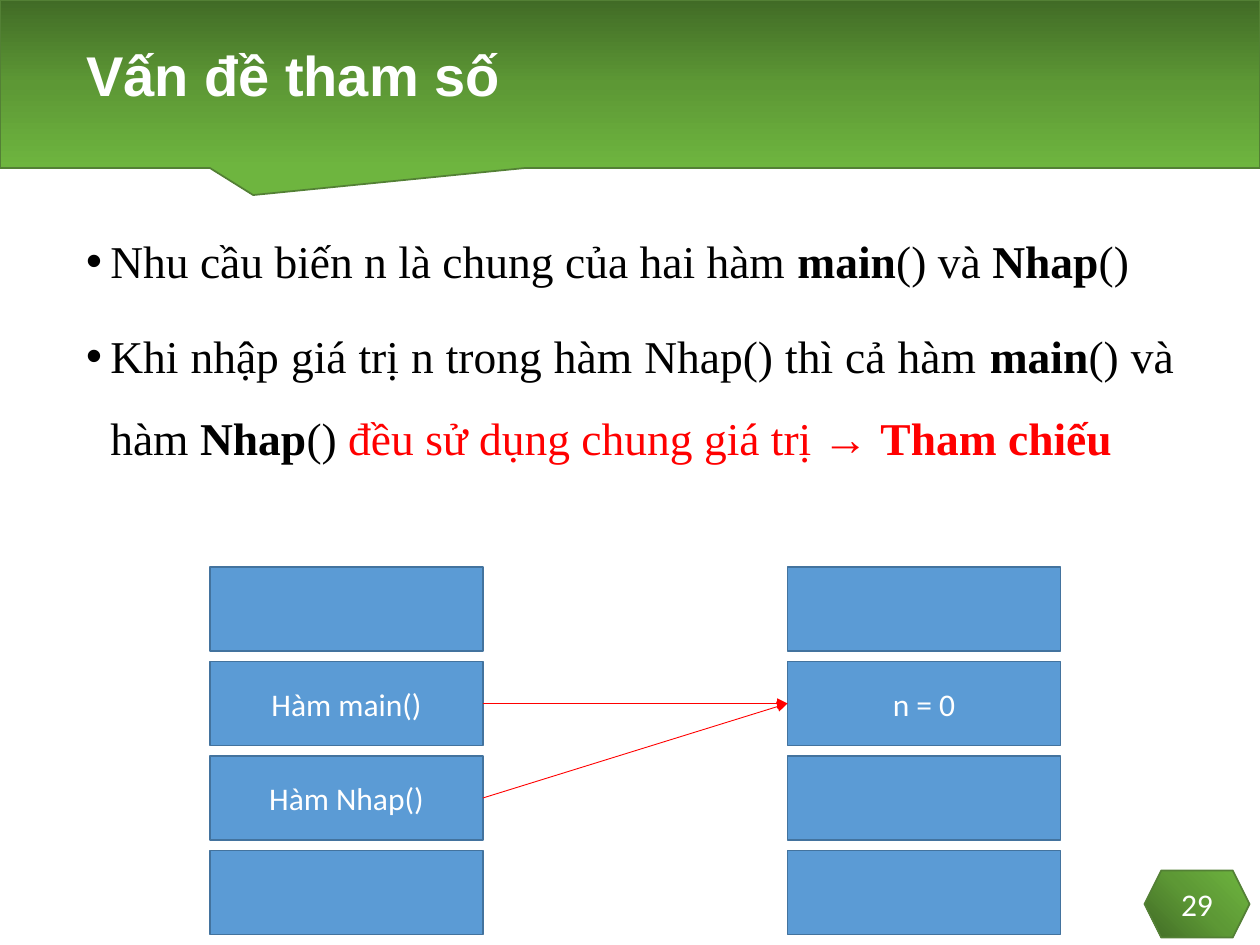
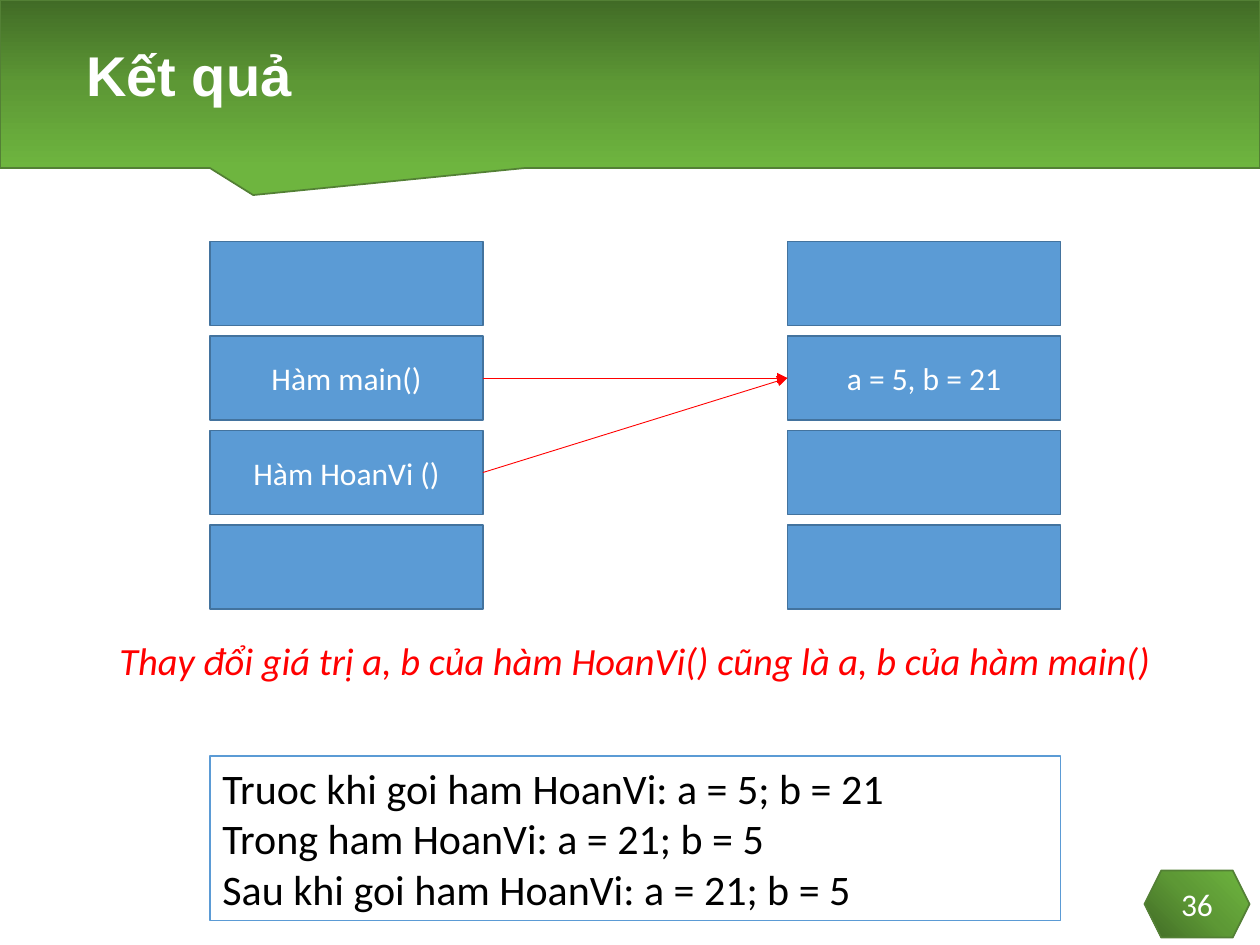
from dataclasses import dataclass

from pptx import Presentation
from pptx.dml.color import RGBColor
from pptx.enum.shapes import MSO_CONNECTOR, MSO_SHAPE
from pptx.enum.text import MSO_ANCHOR, MSO_AUTO_SIZE, PP_ALIGN
from pptx.oxml import parse_xml
from pptx.oxml.ns import nsdecls, qn
from pptx.util import Emu, Pt

RECTANGLE = MSO_SHAPE.RECTANGLE
CALLOUT = MSO_SHAPE.RECTANGULAR_CALLOUT
HEXAGON = MSO_SHAPE.HEXAGON
STRAIGHT = MSO_CONNECTOR.STRAIGHT
LEFT, CENTER, JUSTIFY = PP_ALIGN.LEFT, PP_ALIGN.CENTER, PP_ALIGN.JUSTIFY
TOP, MIDDLE = MSO_ANCHOR.TOP, MSO_ANCHOR.MIDDLE
NO_FIT = MSO_AUTO_SIZE.NONE

# Layout grid: 120 px to the inch
EMU_PER_PX = 7620
SLIDE_WIDTH, SLIDE_HEIGHT = 1200, 900
TITLE_ONLY, TITLE_AND_BODY = 5, 1
BOX_WIDTH, BOX_HEIGHT, BOX_PITCH = 260, 80, 90
FUNCTION_LEFT, MEMORY_LEFT = 200, 750
RIGHT_SITE, LEFT_SITE = 3, 1
LIST_INDENT = 23


@dataclass(frozen=True)
class Theme:
    band_stops: tuple = ("416B26", "5D9835", "6EB53F")
    band_line: str = "538035"
    box_fill: str = "5B9BD5"
    box_line: str = "43739E"
    accent: str = "FF0000"
    light: str = "FFFFFF"
    dark: str = "000000"
    title_font: str = "Arial"
    list_font: str = "Times New Roman"
    text_font: str = "Calibri"
    title_size: int = 32
    list_size: int = 26
    result_size: int = 24
    caption_size: int = 22
    label_size: int = 18


THEME = Theme()
LINEAR_DOWN = '<a:lin ang="5400000" scaled="0"/>'
FROM_BOTTOM_LEFT = '<a:path path="circle"><a:fillToRect t="100000" r="100000"/></a:path>'


# Basic helpers
def px(length):
    return Emu(length * EMU_PER_PX)


def color(value):
    return RGBColor.from_string(value)


def place(shape, left, top, width, height):
    shape.left, shape.top = px(left), px(top)
    shape.width, shape.height = px(width), px(height)


def format_run(run, font, size, text_color, bold=False, italic=False):
    run.font.name = font
    run.font.size = Pt(size)
    run.font.color.rgb = color(text_color)
    run.font.bold = bold
    run.font.italic = italic


def set_text(shape, text, font, size, text_color, align=LEFT, anchor=TOP, **style):
    frame = shape.text_frame
    frame.text = text
    frame.vertical_anchor = anchor
    for paragraph in frame.paragraphs:
        paragraph.alignment = align
        for run in paragraph.runs:
            format_run(run, font, size, text_color, **style)


def add_outlined(slide, kind, bounds, line_color, line_width=1):
    shape = slide.shapes.add_shape(kind, *map(px, bounds))
    shape.shadow.inherit = False
    shape.line.color.rgb = color(line_color)
    shape.line.width = Pt(line_width)
    return shape


def fill_gradient(shape, direction):
    stops = "".join(
        f'<a:gs pos="{index * 50000}"><a:srgbClr val="{value}"/></a:gs>'
        for index, value in enumerate(THEME.band_stops)
    )
    shape.fill.gradient()
    properties = shape.element.spPr
    gradient = parse_xml(
        f'<a:gradFill {nsdecls("a")} rotWithShape="1">'
        f"<a:gsLst>{stops}</a:gsLst>{direction}</a:gradFill>"
    )
    properties.replace(properties.find(qn("a:gradFill")), gradient)


# Shared parts
def add_master_band(presentation, slide):
    """Draw the title band and hand it to the master, behind everything."""
    band = add_outlined(slide, CALLOUT, (0, 0, SLIDE_WIDTH, 160), THEME.band_line)
    band.adjustments[0], band.adjustments[1] = -0.299, 0.661
    fill_gradient(band, LINEAR_DOWN)
    band.element.nvSpPr.cNvPr.set("id", "100")
    presentation.slide_master.shapes.element.insert(2, band.element)


def add_page_number(slide, number):
    badge = add_outlined(slide, HEXAGON, (1090, 829, 100, 64), THEME.band_line)
    fill_gradient(badge, FROM_BOTTOM_LEFT)
    set_text(badge, str(number), THEME.text_font, THEME.label_size, THEME.light,
             CENTER, MIDDLE)


def add_titled_slide(presentation, layout, title_text, number):
    slide = presentation.slides.add_slide(presentation.slide_layouts[layout])
    title = slide.shapes.title
    place(title, 70, 10, 1060, 130)
    set_text(title, title_text, THEME.title_font, THEME.title_size, THEME.light,
             anchor=MIDDLE, bold=True)
    title.text_frame.auto_size = NO_FIT
    title.text_frame.paragraphs[0].line_spacing = 0.9
    add_page_number(slide, number)
    return slide


# Content parts
def set_bullet(paragraph):
    properties = paragraph._p.get_or_add_pPr()
    properties.set("marL", str(px(LIST_INDENT)))
    properties.set("indent", str(-px(LIST_INDENT)))
    properties.append(parse_xml(f'<a:buFont {nsdecls("a")} typeface="Arial"/>'))
    properties.append(parse_xml(f'<a:buChar {nsdecls("a")} char="•"/>'))


def fill_list(body, items):
    """Each item is a list of (text, color, bold) pieces."""
    place(body, 70, 190, 1060, 601)
    frame = body.text_frame
    frame.auto_size = NO_FIT
    for index, pieces in enumerate(items):
        paragraph = frame.add_paragraph() if index else frame.paragraphs[0]
        paragraph.alignment = JUSTIFY
        paragraph.line_spacing = 1.5
        paragraph.space_before = Pt(7.5)
        set_bullet(paragraph)
        for text, text_color, bold in pieces:
            run = paragraph.add_run()
            run.text = text
            format_run(run, THEME.list_font, THEME.list_size, text_color, bold)


def add_box_column(slide, left, top, labels):
    boxes = []
    for row, label in enumerate(labels):
        bounds = (left, top + row * BOX_PITCH, BOX_WIDTH, BOX_HEIGHT)
        box = add_outlined(slide, RECTANGLE, bounds, THEME.box_line)
        box.fill.solid()
        box.fill.fore_color.rgb = color(THEME.box_fill)
        if label:
            set_text(box, label, THEME.text_font, THEME.label_size, THEME.light,
                     CENTER, MIDDLE)
        boxes.append(box)
    return boxes


def add_arrow(slide, source, target):
    arrow = slide.shapes.add_connector(STRAIGHT, 0, 0, 0, 0)
    arrow.begin_connect(source, RIGHT_SITE)
    arrow.end_connect(target, LEFT_SITE)
    arrow.line.color.rgb = color(THEME.accent)
    arrow.line.width = Pt(0.5)
    arrow.line._get_or_add_ln().append(
        parse_xml(f'<a:tailEnd {nsdecls("a")} type="triangle"/>'))
    arrow.element.spPr.append(parse_xml(f'<a:effectLst {nsdecls("a")}/>'))


def add_memory_diagram(slide, top, called_function, value):
    """Two functions that point to one shared memory cell."""
    functions = add_box_column(slide, FUNCTION_LEFT, top,
                               ("", "Hàm main()", called_function, ""))
    memory = add_box_column(slide, MEMORY_LEFT, top, ("", value, "", ""))
    for function in functions[1:3]:
        add_arrow(slide, function, memory[1])


def add_program_output(slide, lines):
    bounds = (FUNCTION_LEFT, 720, MEMORY_LEFT + BOX_WIDTH - FUNCTION_LEFT, 157)
    output = add_outlined(slide, RECTANGLE, bounds, THEME.box_fill, 0.75)
    output.fill.background()
    set_text(output, "\n".join(lines), THEME.text_font, THEME.result_size, THEME.dark)


def add_caption(slide, text):
    caption = slide.shapes.add_textbox(*map(px, (102, 601, 1006, 56)))
    set_text(caption, text, THEME.text_font, THEME.caption_size, THEME.accent,
             italic=True)
    caption.text_frame.word_wrap = False


# Slides
def build_parameter_slide(presentation):
    slide = add_titled_slide(presentation, TITLE_AND_BODY, "Vấn đề tham số", 29)
    add_master_band(presentation, slide)
    dark, accent = THEME.dark, THEME.accent
    fill_list(slide.placeholders[1], [
        [("Nhu cầu biến n là chung của hai hàm ", dark, False),
         ("main", dark, True), ("() và ", dark, False),
         ("Nhap", dark, True), ("()", dark, False)],
        [("Khi nhập giá trị n trong hàm Nhap() thì cả hàm ", dark, False),
         ("main", dark, True), ("() và hàm ", dark, False),
         ("Nhap", dark, True), ("() ", dark, False),
         ("đều sử dụng chung giá trị → ", accent, False),
         ("Tham chiếu", accent, True)],
    ])
    add_memory_diagram(slide, 540, "Hàm Nhap()", "n = 0")


def build_result_slide(presentation):
    slide = add_titled_slide(presentation, TITLE_ONLY, "Kết quả", 36)
    add_program_output(slide, (
        "Truoc khi goi ham HoanVi: a = 5; b = 21",
        "Trong ham HoanVi: a = 21; b = 5",
        "Sau khi goi ham HoanVi: a = 21; b = 5",
    ))
    add_memory_diagram(slide, 230, "Hàm HoanVi ()", "a = 5, b = 21")
    add_caption(slide, "Thay đổi giá trị a, b của hàm HoanVi() cũng là a, b của hàm main()")


def main():
    presentation = Presentation()
    presentation.slide_width = px(SLIDE_WIDTH)
    presentation.slide_height = px(SLIDE_HEIGHT)
    build_parameter_slide(presentation)
    build_result_slide(presentation)
    presentation.save("out.pptx")


if __name__ == "__main__":
    main()
